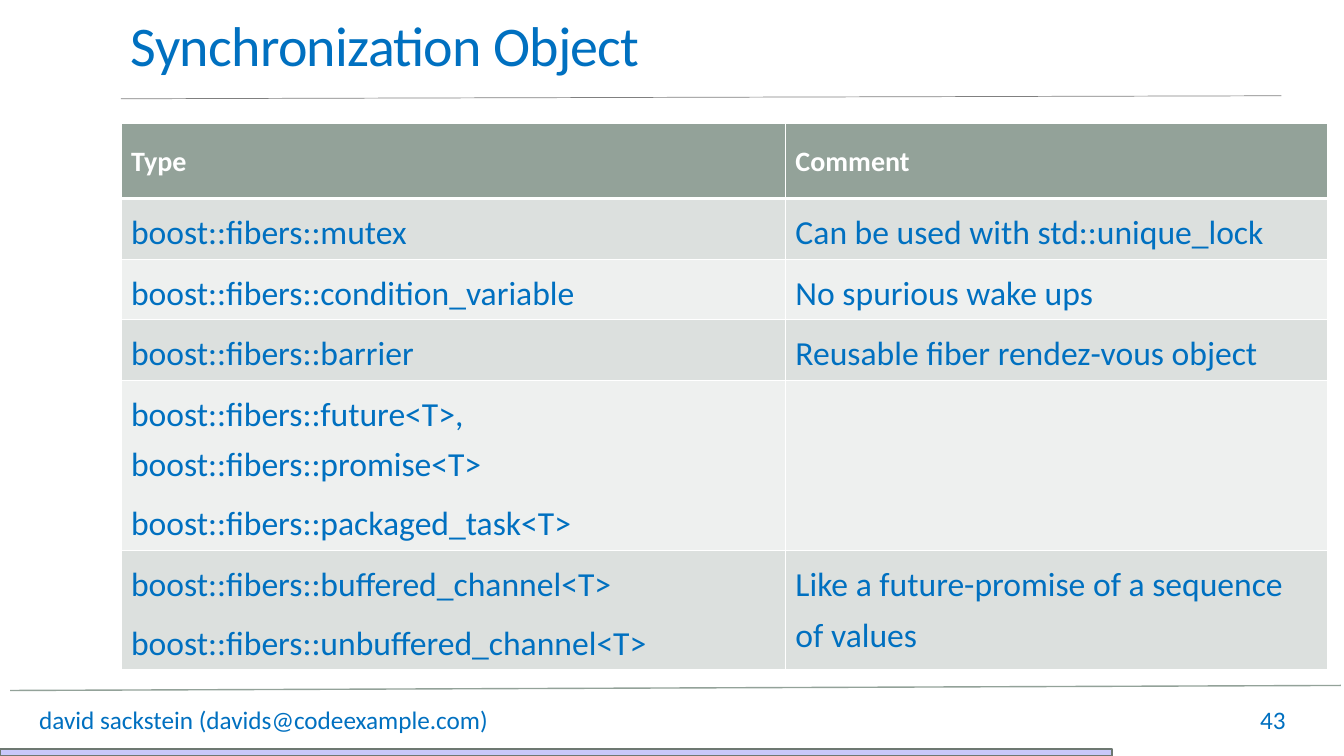
from lxml import etree
from pptx import Presentation
from pptx.dml.color import RGBColor
from pptx.enum import shapes, text
from pptx.oxml import ns
from pptx.util import Inches, Pt

BLUE, WHITE, SAGE = "0070C0", "FFFFFF", "93A299"
BANDS = ["DCE0DE", "EEF0EF"]


def color(value):
    return RGBColor.from_string(value)


def write(frame, content, size=18, ink=BLUE, bold=False, leading=None, gap=0, tracking=None):
    """Fill a text frame with one paragraph per line of content."""
    frame.word_wrap = True
    for index, line in enumerate(content.split("\n")):
        para = frame.add_paragraph() if index else frame.paragraphs[0]
        para.line_spacing = leading
        para.space_before = para.space_after = Pt(gap)
        if not line:
            continue
        span = para.add_run()
        span.text = line
        span.font.name = "Calibri"
        span.font.size = Pt(size)
        span.font.bold = bold
        span.font.color.rgb = color(ink)
        if tracking is not None:
            span.font._element.set("spc", str(tracking))


deck = Presentation()
deck.slide_width, deck.slide_height = Inches(13.33), Inches(7.5)
page = deck.slides.add_slide(deck.slide_layouts[6])

# Rules above the footer and below the title
for x1, y1, x2, y2, ink, width in [
    (0.1, 6.85, 13.3, 6.8, SAGE, 1),
    (1.2, 0.98, 12.71, 0.95, "808080", 0.5),
]:
    rule = page.shapes.add_connector(
        shapes.MSO_CONNECTOR.STRAIGHT, Inches(x1), Inches(y1), Inches(x2), Inches(y2))
    rule.line.color.rgb = color(ink)
    rule.line.width = Pt(width)
    etree.SubElement(rule._element.spPr, ns.qn("a:effectLst"))

# Page number, author and title
for left, top, width, height, content, style in [
    (12.4, 6.94, 0.74, 0.4, "43", {}),
    (0.29, 6.94, 5.5, 0.4, "david sackstein (davids@codeexample.com)", {}),
    (1.2, 0.22, 11, 0.6, "Synchronization Object", dict(size=40, leading=0.85, tracking=-50)),
]:
    box = page.shapes.add_textbox(Inches(left), Inches(top), Inches(width), Inches(height))
    write(box.text_frame, content, **style)
box.text_frame.vertical_anchor = text.MSO_ANCHOR.BOTTOM

# Table of synchronization types
rows = [
    (0.75, "Type", "Comment"),
    (0.6, "boost::fibers::mutex", "Can be used with std::unique_lock"),
    (0.6, "boost::fibers::condition_variable", "No spurious wake ups"),
    (0.6, "boost::fibers::barrier", "Reusable fiber rendez-vous object"),
    (1.69, "boost::fibers::future<T>, boost::fibers::promise<T>\nboost::fibers::packaged_task<T>", ""),
    (1.18, "boost::fibers::buffered_channel<T>\nboost::fibers::unbuffered_channel<T>",
     "Like a future-promise of a sequence of values"),
]
table = page.shapes.add_table(
    len(rows), 2, Inches(1.2), Inches(1.22), Inches(11.97), Inches(5.42)).table
for column, width in zip(table.columns, (6.59, 5.38)):
    column.width = Inches(width)

for r, (height, *contents) in enumerate(rows):
    table.rows[r].height = Inches(height)
    for c, content in enumerate(contents):
        cell = table.cell(r, c)
        if r == 0:
            write(cell.text_frame, content, size=20, ink=WHITE, bold=True, leading=1.5)
        else:
            write(cell.text_frame, content, size=24, leading=Pt(36), gap=3)
        properties = cell._tc.get_or_add_tcPr()
        for side in ("L", "R", "T", "B"):
            thick = (r, side) in [(0, "B"), (1, "T")]
            border = etree.SubElement(
                properties, ns.qn(f"a:ln{side}"), w=str(Pt(3 if thick else 1)))
            paint = etree.SubElement(border, ns.qn("a:solidFill"))
            etree.SubElement(paint, ns.qn("a:srgbClr"), val=WHITE)
        cell.fill.solid()
        cell.fill.fore_color.rgb = color(BANDS[(r - 1) % 2] if r else SAGE)

# Progress bar along the bottom edge
bar = page.shapes.add_shape(
    shapes.MSO_SHAPE.RECTANGLE, Inches(0), Inches(7.43), Inches(11.03), Inches(0.07))
bar.shadow.inherit = False
bar.fill.solid()
bar.fill.fore_color.rgb = color("C8C8FA")
bar.line.color.rgb = color("6D7871")
bar.line.width = Pt(1.25)

deck.save("out.pptx")
